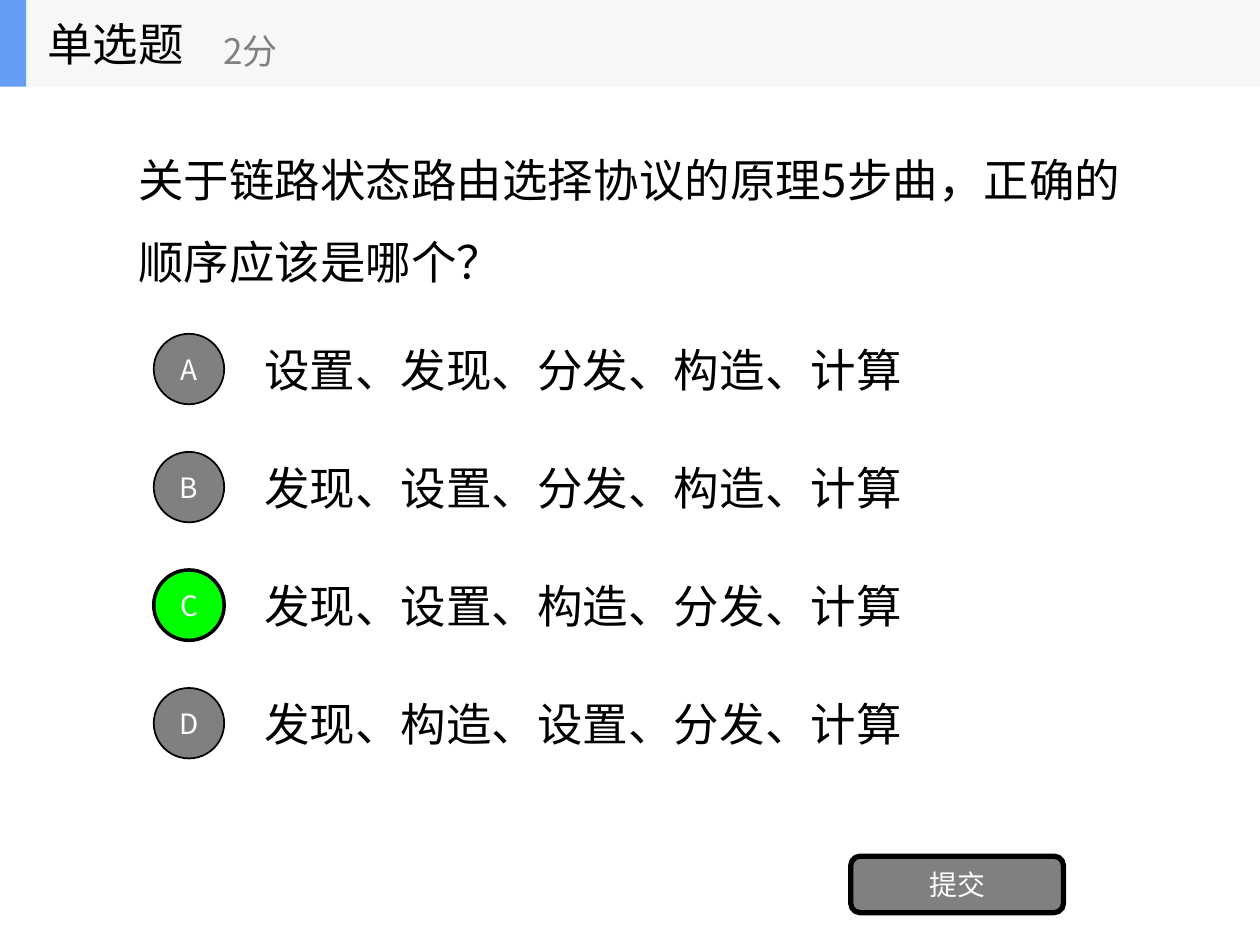
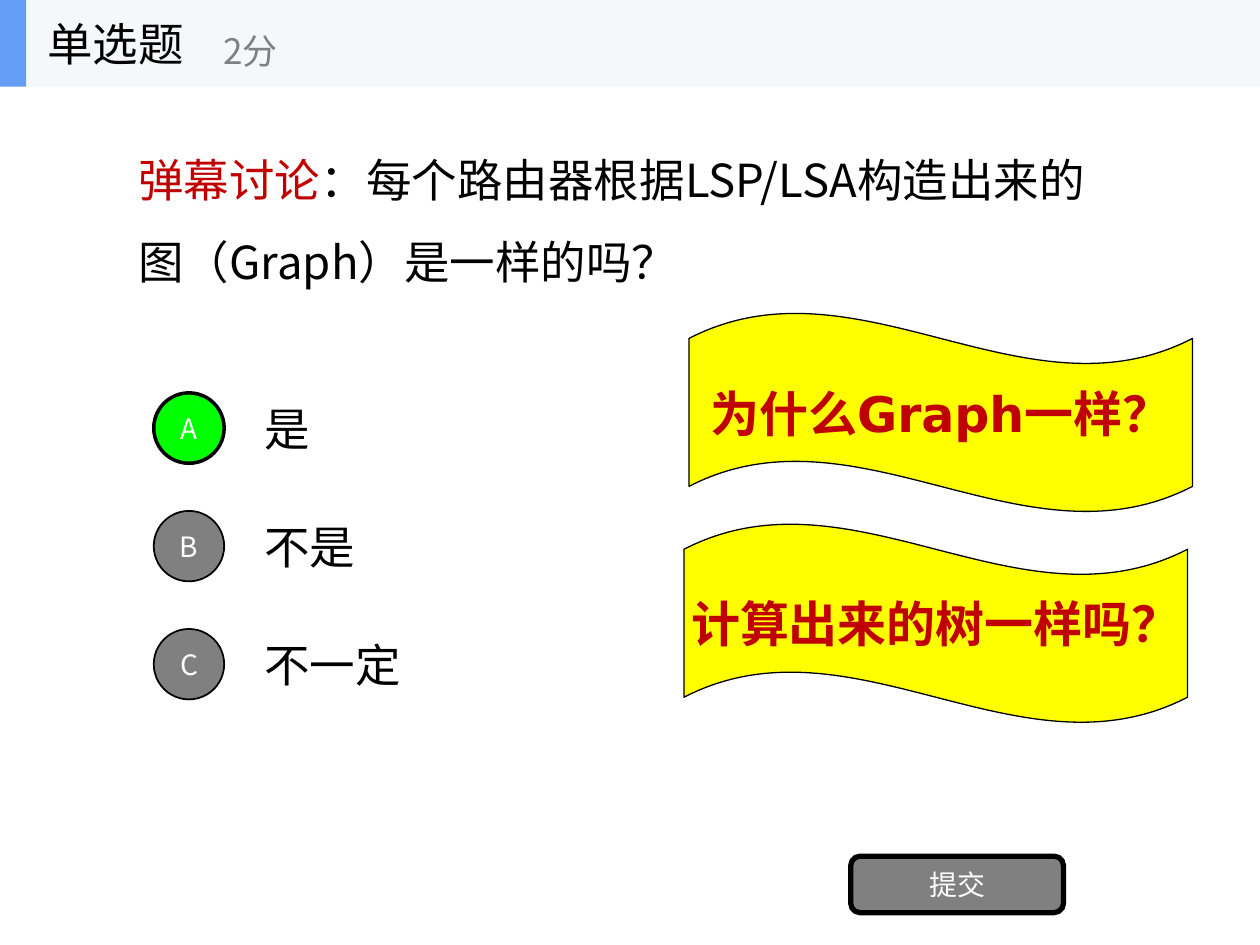
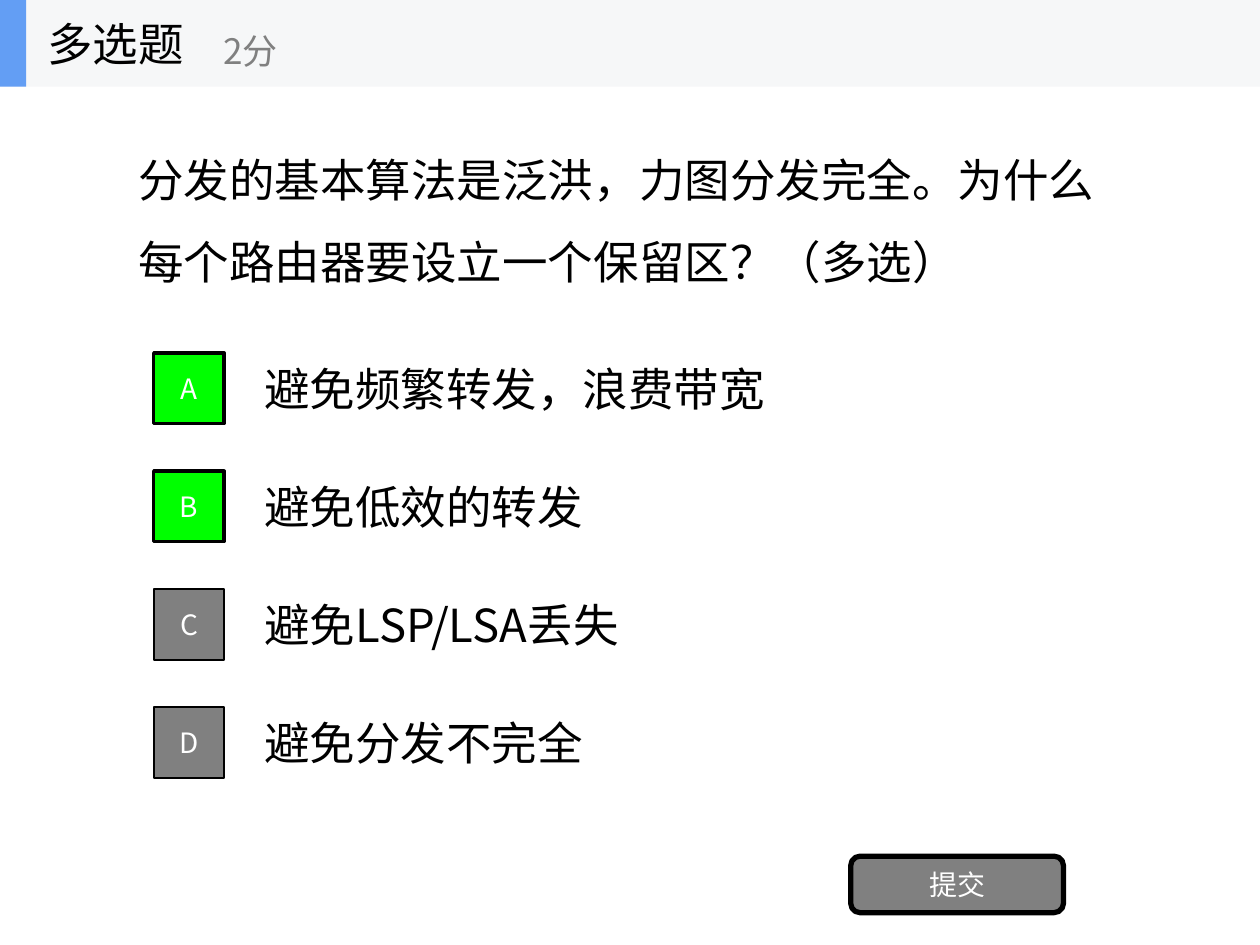
from dataclasses import dataclass

from lxml import etree
from pptx import Presentation
from pptx.dml.color import RGBColor
from pptx.enum.shapes import MSO_SHAPE
from pptx.enum.text import MSO_ANCHOR, PP_ALIGN
from pptx.oxml.ns import qn
from pptx.util import Cm, Pt

ELLIPSE, RECT = MSO_SHAPE.OVAL, MSO_SHAPE.RECTANGLE
ROUNDED, WAVE = MSO_SHAPE.ROUNDED_RECTANGLE, MSO_SHAPE.WAVE
MIDDLE = MSO_ANCHOR.MIDDLE
LEFT, CENTER = PP_ALIGN.LEFT, PP_ALIGN.CENTER

COLORS = {
    "text": "000000",
    "line": "000000",
    "muted": "808080",
    "correct": "00FF00",
    "on_fill": "FFFFFF",
    "band": "F6F7F8",
    "accent": "639EF4",
    "banner": "FFFF00",
    "emphasis": "C00000",
}
CJK_FONT, BANNER_FONT = "Noto Sans CJK SC", "DejaVu Sans"
BODY_SIZE, POINTS_SIZE, LABEL_SIZE, BANNER_SIZE = 26, 20, 16, 28

# Lengths in centimetres; boxes are left, top, width, height.
SLIDE_WIDTH, SLIDE_HEIGHT = 25.4, 19.05
HEADER_BOX = (0, 0, SLIDE_WIDTH, 1.75)
QUESTION_BOX = (2.54, 1.19, 20.32, 5.95)
SUBMIT_BOX = (17.15, 17.26, 4.29, 1.14)
OPTIONS_LEFT, OPTIONS_WIDTH = 3.1, 19.76
OPTION_HEIGHT, OPTION_PITCH = 1.78, 2.38
MARKER_SIZE, ANSWER_INDENT = 1.42, 1.98
BANNER_WIDTH, BANNER_HEIGHT = 10.15, 4.03


@dataclass
class Quiz:
    kind: str
    question: list  # (text, colour name) pairs
    options: list
    correct: str
    options_top: float
    marker: MSO_SHAPE = ELLIPSE
    banners: tuple = ()  # (left, top, text)


QUIZZES = [
    Quiz(
        "单选题",
        [("关于链路状态路由选择协议的原理5步曲，正确的顺序应该是哪个？", "text")],
        [
            "设置、发现、分发、构造、计算",
            "发现、设置、分发、构造、计算",
            "发现、设置、构造、分发、计算",
            "发现、构造、设置、分发、计算",
        ],
        "C",
        6.55,
    ),
    Quiz(
        "单选题",
        [
            ("弹幕讨论", "emphasis"),
            ("：每个路由器根据LSP/LSA构造出来的图（Graph）是一样的吗？", "text"),
        ],
        ["是", "不是", "不一定"],
        "A",
        7.74,
        banners=(
            (13.89, 6.3, "为什么Graph一样？"),
            (13.79, 10.55, "计算出来的树一样吗？"),
        ),
    ),
    Quiz(
        "多选题",
        [("分发的基本算法是泛洪，力图分发完全。为什么每个路由器要设立一个保留区？（多选）", "text")],
        ["避免频繁转发，浪费带宽", "避免低效的转发", "避免LSP/LSA丢失", "避免分发不完全"],
        "AB",
        6.94,
        marker=RECT,
    ),
]


def rgb(name):
    return RGBColor.from_string(COLORS[name])


def write(frame, runs, size, align=LEFT, wrap=True, font=CJK_FONT, bold=False):
    """Fill the frame's first paragraph with (text, colour name) runs."""
    frame.word_wrap = wrap
    frame.vertical_anchor = MIDDLE
    paragraph = frame.paragraphs[0]
    paragraph.alignment = align
    for text, color in runs:
        run = paragraph.add_run()
        run.text = text
        run.font.size = Pt(size)
        run.font.bold = bold
        run.font.name = font
        run.font.color.rgb = rgb(color)
        east_asian = etree.SubElement(run.font._element, qn("a:ea"))
        east_asian.set("typeface", CJK_FONT)
    return paragraph


def add_text(shapes, box, runs, size):
    frame = shapes.add_textbox(*map(Cm, box)).text_frame
    return write(frame, runs, size)


def add_filled(shapes, preset, box, fill, line_width=0):
    shape = shapes.add_shape(preset, *map(Cm, box))
    shape.shadow.inherit = False
    shape.fill.solid()
    shape.fill.fore_color.rgb = rgb(fill)
    if line_width:
        shape.line.color.rgb = rgb("line")
        shape.line.width = Pt(line_width)
    else:
        shape.line.fill.background()
    return shape


def add_header(slide, box, kind):
    left, top, width, height = box
    shapes = slide.shapes.add_group_shape().shapes
    add_filled(shapes, RECT, box, "band")
    add_filled(shapes, RECT, (left, top, 0.53, height), "accent")
    add_text(shapes, (left + 0.7, top, 5.3, height), [(kind, "text")], BODY_SIZE)
    add_text(shapes, (left + 4.25, top + 0.3, 6.35, 1.42), [("2分", "muted")], POINTS_SIZE)


def add_option(slide, box, letter, answer, marker, is_correct):
    left, top, width, height = box
    add_text(
        slide.shapes,
        (left + ANSWER_INDENT, top, width - ANSWER_INDENT, height),
        [(answer, "text")],
        BODY_SIZE,
    )
    badge = add_filled(
        slide.shapes,
        marker,
        (left, top + (height - MARKER_SIZE) / 2, MARKER_SIZE, MARKER_SIZE),
        "correct" if is_correct else "muted",
        2 if is_correct else 1,
    )
    write(badge.text_frame, [(letter, "on_fill")], LABEL_SIZE, CENTER, wrap=False)


def add_submit(slide, box):
    button = add_filled(slide.shapes, ROUNDED, box, "muted", 3)
    write(button.text_frame, [("提交", "on_fill")], LABEL_SIZE, CENTER, wrap=False)


def add_banner(slide, box, text):
    banner = add_filled(slide.shapes, WAVE, box, "banner", 0.75)
    banner.adjustments[0] = 0.13
    write(banner.text_frame, [(text, "emphasis")], BANNER_SIZE, CENTER,
          wrap=False, font=BANNER_FONT, bold=True)


def add_quiz_slide(deck, quiz):
    slide = deck.slides.add_slide(deck.slide_layouts[6])
    question = add_text(slide.shapes, QUESTION_BOX, quiz.question, BODY_SIZE)
    question.line_spacing = 1.5
    for row, (letter, answer) in enumerate(zip("ABCD", quiz.options)):
        top = quiz.options_top + row * OPTION_PITCH
        add_option(slide, (OPTIONS_LEFT, top, OPTIONS_WIDTH, OPTION_HEIGHT),
                   letter, answer, quiz.marker, letter in quiz.correct)
    add_submit(slide, SUBMIT_BOX)
    for left, top, text in quiz.banners:
        add_banner(slide, (left, top, BANNER_WIDTH, BANNER_HEIGHT), text)
    add_header(slide, HEADER_BOX, quiz.kind)


def main():
    deck = Presentation()
    deck.slide_width, deck.slide_height = Cm(SLIDE_WIDTH), Cm(SLIDE_HEIGHT)
    for quiz in QUIZZES:
        add_quiz_slide(deck, quiz)
    deck.save("out.pptx")


if __name__ == "__main__":
    main()
